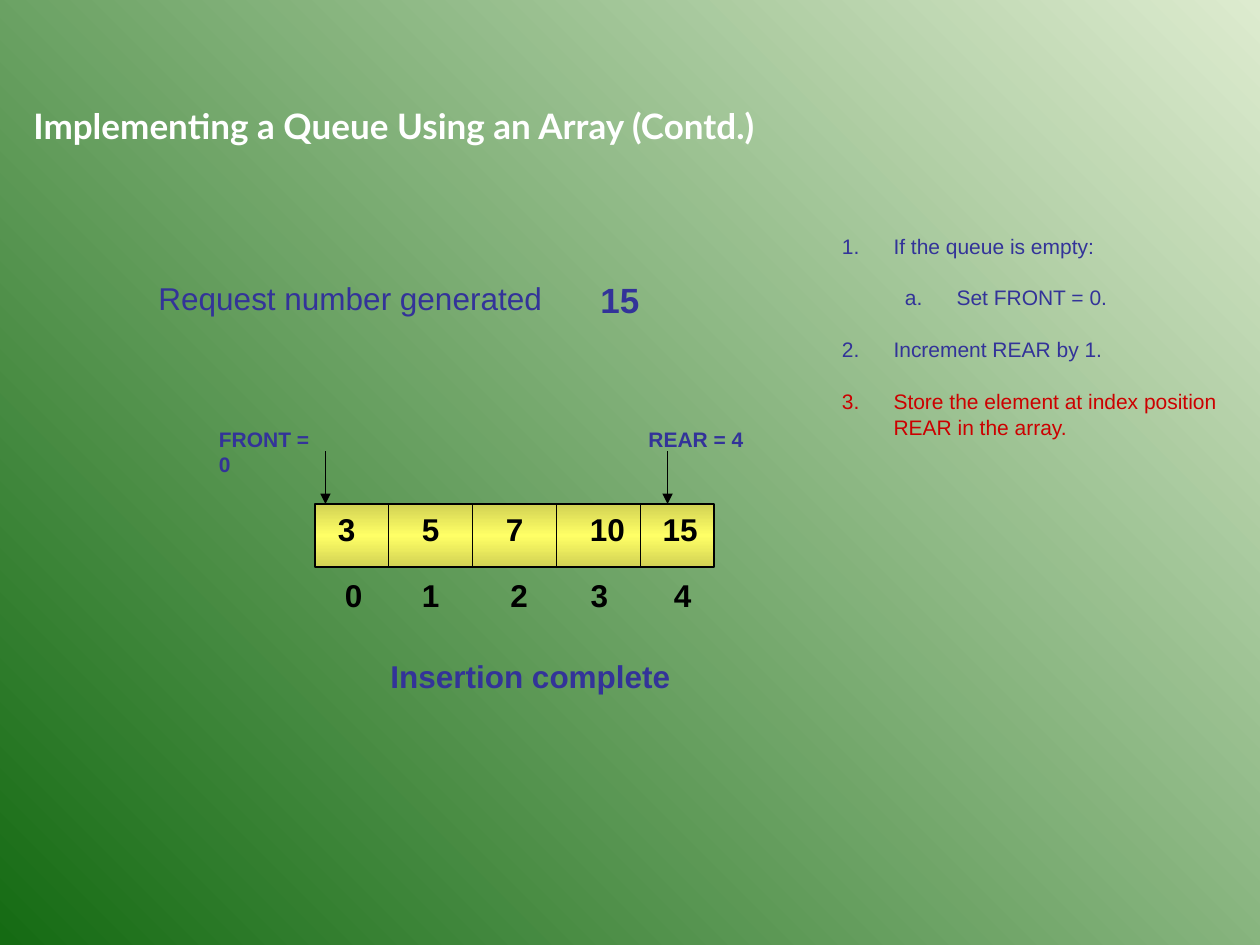
from lxml import etree
from copy import deepcopy
from pptx import Presentation
from pptx.dml.color import RGBColor
from pptx.enum.shapes import MSO_CONNECTOR, MSO_SHAPE
from pptx.oxml.ns import qn
from pptx.util import Pt

STRAIGHT = MSO_CONNECTOR.STRAIGHT
ROUNDED = MSO_SHAPE.ROUNDED_RECTANGLE
BLUE, RED, BLACK, WHITE = "333399", "CC0000", "000000", "FFFFFF"


def color(value):
    return RGBColor.from_string(value)


deck = Presentation()
deck.slide_width, deck.slide_height = Pt(720), Pt(540)
page = deck.slides.add_slide(deck.slide_layouts[6])

# Background: light top right to dark bottom left
backdrop = page.background.fill
backdrop.gradient()
backdrop.gradient_angle = 225
for stop, shade in zip(backdrop.gradient_stops, ("DDEBCF", "156B13")):
    stop.color.rgb = color(shade)

# Array body with a three-stop gradient
array_left, array_top, array_height, cell_width = 180, 288, 36, 48
array = page.shapes.add_shape(ROUNDED, Pt(array_left), Pt(array_top), Pt(228), Pt(array_height))
array.adjustments[0] = 0
array.shadow.inherit = False
array.line.color.rgb = color(BLACK)
array.line.width = Pt(0.75)
array.fill.gradient()
array.fill.gradient_angle = 270
stop_list = array._element.spPr.find(qn("a:gradFill")).find(qn("a:gsLst"))
stop_list.insert(1, deepcopy(stop_list[0]))
shades = ("D2D254", "FFFF66", "D2D254")
for stop, position, shade in zip(array.fill.gradient_stops, (0, 0.5, 1), shades):
    stop.position = position
    stop.color.rgb = color(shade)

# Cell dividers, then the FRONT and REAR arrows: x, top, bottom, arrowhead
array_bottom = array_top + array_height
lines = [(222 + cell_width * i, array_top, array_bottom, False) for i in range(4)]
lines += [(x, 258, array_top, True) for x in (186, 381.5)]
for x, top, bottom, has_head in lines:
    line = page.shapes.add_connector(STRAIGHT, Pt(x), Pt(top), Pt(x), Pt(bottom))
    line.line.color.rgb = color(BLACK)
    line.line.width = Pt(0.75)
    if has_head:
        etree.SubElement(line.line._get_or_add_ln(), qn("a:tailEnd"), type="triangle")
    etree.SubElement(line._element.spPr, qn("a:effectLst"))

# Single-line texts: text, left, top, width, height, wrap, font
number_font = {"name": "Arial", "size": Pt(18), "bold": True}
pointer_font = {"name": "Arial", "size": Pt(12), "bold": True}
labels = [
    ("Implementing a Queue Using an Array (Contd.)", 12, 56, 564, 31.5, True, WHITE,
     {"name": "Lato", "size": Pt(20), "bold": True}),
    ("Request number generated", 83.5, 156, 240.5, 29, True, BLUE,
     {"name": "Arial", "size": Pt(18), "bold": False}),
    ("15", 336, 155.5, 48, 31.5, True, BLUE,
     {"name": "Arial", "size": Pt(20), "bold": True}),
    ("FRONT = 0", 118, 240, 75.5, 21.5, False, BLUE, pointer_font),
    ("REAR = 4", 363.5, 240, 68.5, 21.5, False, BLUE, pointer_font),
    ("Insertion complete", 216, 372, 234, 29, True, BLUE, number_font),
]
# Cell values and the indexes below them
for top, row in (
    (array_top, (("3", 186), ("5", 234), ("7", 282), ("10", 330), ("15", 371.5))),
    (325.5, (("0", 190), ("1", 234), ("2", 284.5), ("3", 330.5), ("4", 378))),
):
    for text, left in row:
        width = 24.5 if len(text) == 1 else 34.5
        labels.append((text, left, top, width, 29, False, BLACK, number_font))

for text, left, top, width, height, wrap, shade, font in labels:
    box = page.shapes.add_textbox(Pt(left), Pt(top), Pt(width), Pt(height))
    box.text_frame.word_wrap = wrap
    span = box.text_frame.paragraphs[0].add_run()
    span.text = text
    span.font.color.rgb = color(shade)
    for key, value in font.items():
        setattr(span.font, key, value)

# Algorithm steps: text, level, numbering, colour
steps = [
    ("If the queue is empty:", 0, "arabicPeriod", BLUE),
    ("Set FRONT = 0.", 1, "alphaLcPeriod", BLUE),
    ("Increment REAR by 1.", 0, "arabicPeriod", BLUE),
    ("Store the element at index position REAR in the array.", 0, "arabicPeriod", RED),
]
box = page.shapes.add_textbox(Pt(474), Pt(129), Pt(240), Pt(137))
frame = box.text_frame
frame.word_wrap = True
for index, (text, level, numbering, shade) in enumerate(steps):
    para = frame.add_paragraph() if index else frame.paragraphs[0]
    para.level = level
    para.line_spacing = 1.05
    if index:
        para.space_before = Pt(14.4)
    properties = para._p.get_or_add_pPr()
    properties.set("marL", str(Pt(29.5 + 36 * level)))
    properties.set("indent", str(Pt(-29.5)))
    bullet_color = etree.SubElement(properties, qn("a:buClr"))
    etree.SubElement(bullet_color, qn("a:srgbClr"), val=shade)
    etree.SubElement(properties, qn("a:buFont"), typeface="Arial")
    etree.SubElement(properties, qn("a:buAutoNum"), type=numbering)
    span = para.add_run()
    span.text = text
    span.font.color.rgb = color(shade)
    for key, value in {"name": "Arial", "size": Pt(12)}.items():
        setattr(span.font, key, value)

deck.save("out.pptx")
